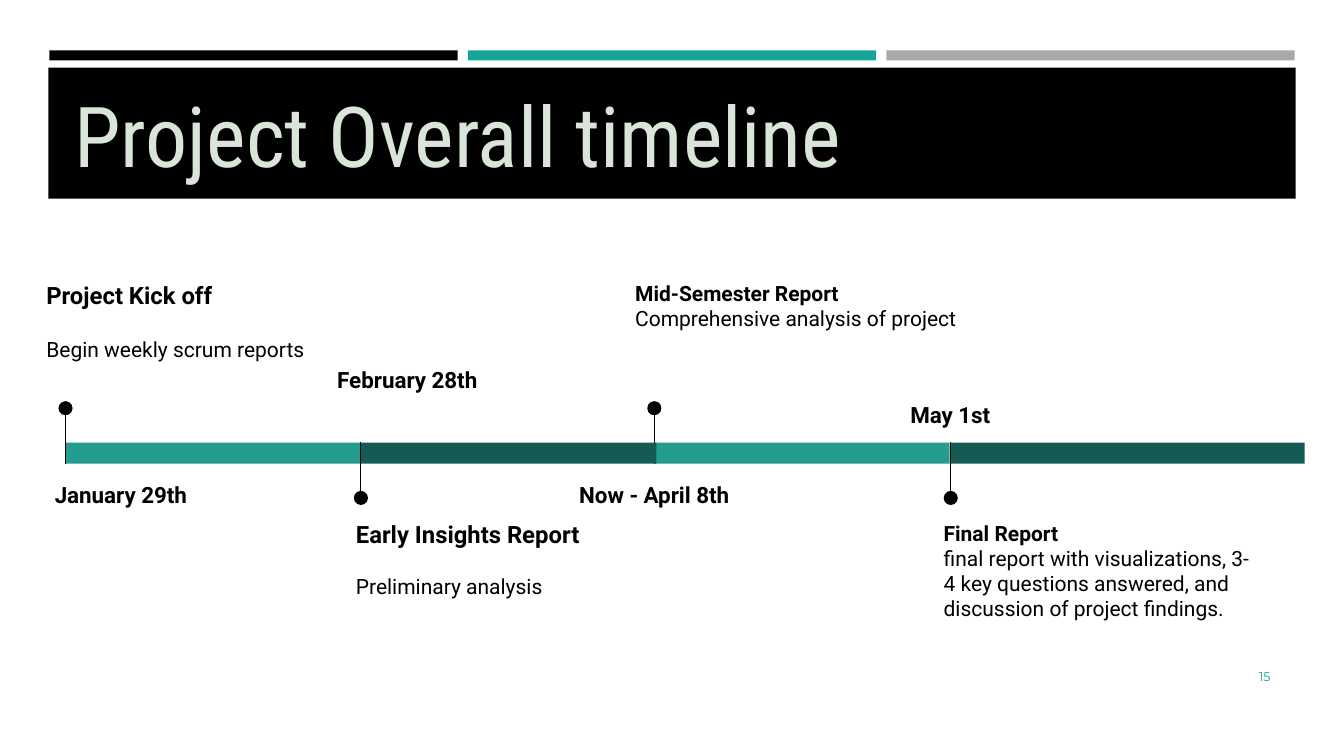
from dataclasses import dataclass

import pptx
import pptx.dml.color
import pptx.enum.shapes
import pptx.enum.text
import pptx.util
from lxml import etree
from pptx.util import Inches

ALIGN = pptx.enum.text.PP_ALIGN
ANCHOR = pptx.enum.text.MSO_ANCHOR
SHAPE = pptx.enum.shapes.MSO_SHAPE


@dataclass(frozen=True)
class Theme:
    black: str = "000000"
    accent: str = "13A694"
    grey: str = "A9A9A9"
    title: str = "D9E5D8"
    light_bar: str = "249C90"
    dark_bar: str = "155B54"
    body_font: str = "Roboto"
    title_font: str = "Roboto Condensed"
    number_font: str = "Montserrat"
    title_size: int = 60
    heading_size: int = 17
    date_size: int = 16
    body_size: int = 15
    number_size: int = 9


THEME = Theme()
BAR_TOP, BAR_HEIGHT = 4.39, 0.21
STEM_LENGTH, DOT_SIZE = 0.55, 0.14


@dataclass(frozen=True)
class Milestone:
    left: float
    bar_width: float
    color: str
    points_up: bool
    date: str
    date_box: tuple
    heading: str
    detail: str
    note_box: tuple
    heading_size: int = THEME.body_size
    gap: float = 0


MILESTONES = [
    Milestone(6.49, 2.93, THEME.light_bar, True, "Now - April 8th", (5.56, 4.6, 1.86, 0.57),
              "Mid-Semester Report", "Comprehensive analysis of project",
              (6.17, 2.65, 3.86, 1.45)),
    Milestone(9.43, 3.51, THEME.dark_bar, False, "May 1st", (8.87, 3.81, 1.11, 0.57),
              "Final Report",
              "final report with visualizations, 3-4 key questions answered, "
              "and discussion of project findings.",
              (9.23, 5.03, 3.37, 1.45)),
    Milestone(0.65, 2.93, THEME.light_bar, True, "January 29th", (0, 4.6, 2.4, 0.57),
              "Project Kick off", "Begin weekly scrum reports",
              (0.33, 2.65, 3.37, 1.45), THEME.heading_size, 20),
    Milestone(3.58, 2.93, THEME.dark_bar, False, "February 28th", (3.03, 3.46, 2.02, 0.57),
              "Early Insights Report", "Preliminary analysis",
              (3.4, 5.03, 3.37, 1.45), THEME.heading_size, 17.5),
]


def rgb(color):
    return pptx.dml.color.RGBColor.from_string(color)


def add_block(page, kind, left, top, width, height, color):
    block = page.shapes.add_shape(kind, Inches(left), Inches(top), Inches(width), Inches(height))
    block.shadow.inherit = False
    block.fill.solid()
    block.fill.fore_color.rgb = rgb(color)
    block.line.fill.background()


def add_stem(page, x, start, end):
    stem = page.shapes.add_connector(pptx.enum.shapes.MSO_CONNECTOR.STRAIGHT,
                                     Inches(x), Inches(start), Inches(x), Inches(end))
    stem.line.color.rgb = rgb(THEME.black)
    stem.line.width = pptx.util.Pt(0.75)
    etree.SubElement(stem.element.spPr, pptx.oxml.ns.qn("a:effectLst"))


def add_box(page, left, top, width, height, inset=(0.13, 0.13), anchor=ANCHOR.TOP):
    box = page.shapes.add_textbox(Inches(left), Inches(top), Inches(width), Inches(height))
    frame = box.text_frame
    frame.word_wrap = True
    frame.vertical_anchor = anchor
    frame.margin_left = frame.margin_right = Inches(inset[0])
    frame.margin_top = frame.margin_bottom = Inches(inset[1])
    return frame


def write(para, text, size, font=THEME.body_font, color=THEME.black, bold=False,
          align=ALIGN.LEFT, before=0, spacing=1.0):
    para.alignment = align
    para.line_spacing = spacing
    if before:
        para.space_before = pptx.util.Pt(before)
    span = para.add_run()
    span.text = text
    span.font.name = font
    span.font.size = pptx.util.Pt(size)
    span.font.bold = bold
    span.font.color.rgb = rgb(color)


def add_header(page, title):
    for index, color in enumerate((THEME.black, THEME.accent, THEME.grey)):
        add_block(page, SHAPE.RECTANGLE, 0.49 + 4.15 * index, 0.5, 4.05, 0.1, color)
    add_block(page, SHAPE.RECTANGLE, 0.48, 0.67, 12.37, 1.3, THEME.black)
    frame = add_box(page, 0.64, 0.77, 12.06, 1.11, inset=(0.1, 0.05), anchor=ANCHOR.BOTTOM)
    write(frame.paragraphs[0], title, THEME.title_size, font=THEME.title_font, color=THEME.title)


def add_milestone(page, item):
    add_block(page, SHAPE.RECTANGLE, item.left, BAR_TOP, item.bar_width, BAR_HEIGHT, item.color)
    if item.points_up:
        base = BAR_TOP + BAR_HEIGHT
        tip = base - STEM_LENGTH
    else:
        base = BAR_TOP
        tip = base + STEM_LENGTH
    add_stem(page, item.left, tip, base)
    add_block(page, SHAPE.OVAL, item.left - DOT_SIZE / 2, tip - DOT_SIZE / 2,
              DOT_SIZE, DOT_SIZE, THEME.black)
    date = add_box(page, *item.date_box)
    write(date.paragraphs[0], item.date, THEME.date_size, bold=True,
          align=ALIGN.CENTER, spacing=1.15)
    note = add_box(page, *item.note_box)
    write(note.paragraphs[0], item.heading, item.heading_size, bold=True)
    write(note.add_paragraph(), item.detail, THEME.body_size, before=item.gap)


def add_page_number(page, number):
    frame = add_box(page, 11.55, 6.51, 1.15, 0.4, inset=(0.1, 0.05), anchor=ANCHOR.MIDDLE)
    write(frame.paragraphs[0], number, THEME.number_size, font=THEME.number_font,
          color=THEME.accent, align=ALIGN.RIGHT)


def main():
    deck = pptx.Presentation()
    deck.slide_width = Inches(13.33)
    deck.slide_height = Inches(7.5)
    page = deck.slides.add_slide(deck.slide_layouts[6])
    add_header(page, "Project Overall timeline")
    for item in MILESTONES:
        add_milestone(page, item)
    add_page_number(page, "15")
    deck.save("out.pptx")


if __name__ == "__main__":
    main()
